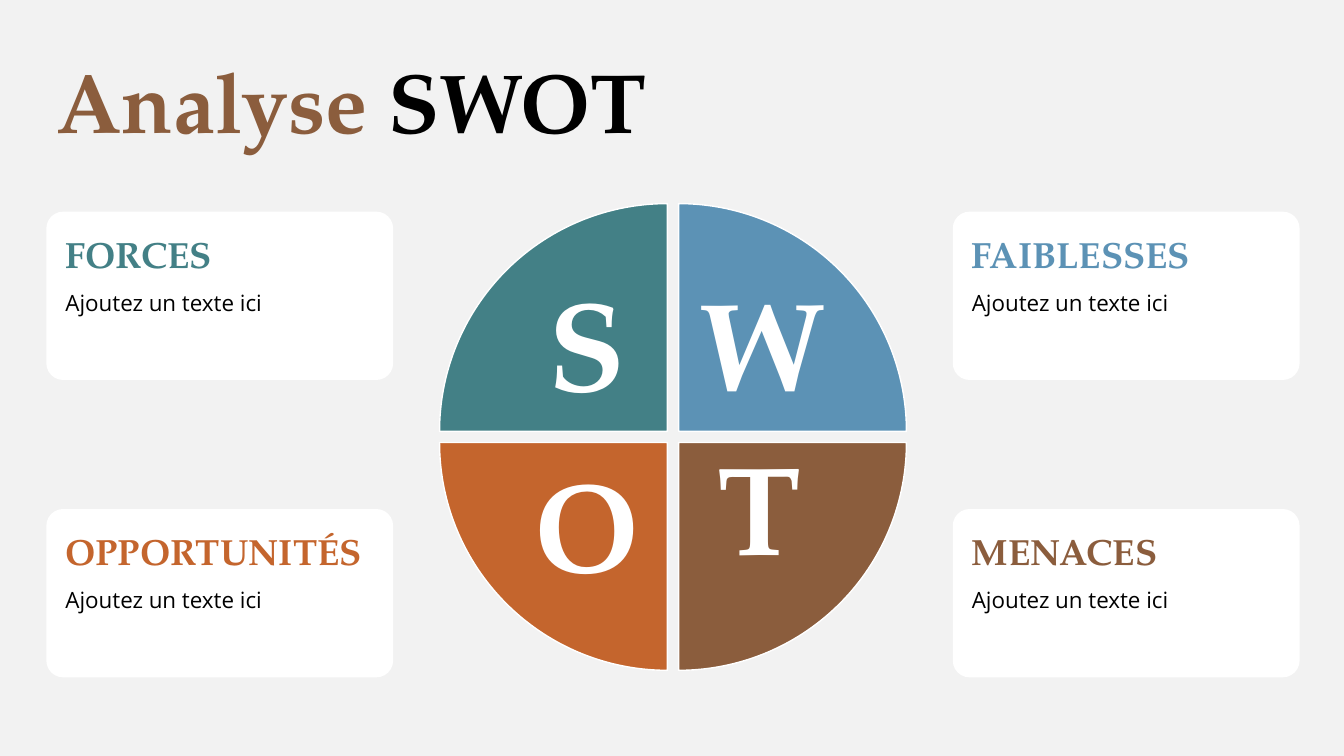
from pptx import Presentation
from pptx import util as u
from pptx.dml.color import RGBColor
from pptx.enum import shapes, text

SERIF, SANS = "TeX Gyre Pagella", "Open Sans"
TEAL, BLUE, BROWN, ORANGE = "438086", "5C92B5", "8B5D3D", "C4652D"
WHITE, BLACK, GREY = "FFFFFF", "000000", "F2F2F2"

QUADRANTS = [
    ("S", "FORCES", TEAL, 0, 0, "middle", {}),
    ("W", "FAIBLESSES", BLUE, 1, 0, "middle", {"vert": "vert270"}),
    ("T", "MENACES", BROWN, 1, 1, "bottom", {"rot": "10800000"}),
    ("O", "OPPORTUNITÉS", ORANGE, 0, 1, "top", {"vert": "vert"}),
]


def paint(fill, colour):
    fill.solid()
    fill.fore_color.rgb = RGBColor.from_string(colour)


def write(p, content, size=16, font=SANS, colour=BLACK, bold=False, align="left", before=0):
    p.alignment = text.PP_ALIGN[align.upper()]
    p.line_spacing = 0.9
    p.space_before = u.Pt(before)
    r = p.add_run()
    r.text = content
    r.font.size = u.Pt(size)
    r.font.name = font
    r.font.bold = bold
    r.font.color.rgb = RGBColor.from_string(colour)


class SwotSlide:
    """Hold the style and the current slide of a SWOT analysis."""

    def __init__(self, prs):
        self.s = prs.slides.add_slide(prs.slide_layouts[0])
        paint(self.s.background.fill, GREY)
        subtitle = self.s.placeholders[1].element
        subtitle.getparent().remove(subtitle)
        self.wheel = self.s.shapes.add_group_shape()

    def frame(self, sp, anchor, x_inset, y_inset):
        tf = sp.text_frame
        tf.word_wrap = True
        tf.vertical_anchor = text.MSO_ANCHOR[anchor.upper()]
        tf.margin_left = tf.margin_right = u.Inches(x_inset)
        tf.margin_top = tf.margin_bottom = u.Inches(y_inset)
        return tf

    def shape(self, parent, kind, x, y, w, h, fill):
        sp = parent.add_shape(kind, *map(u.Inches, (x, y, w, h)))
        sp.shadow.inherit = False
        paint(sp.fill, fill)
        return sp

    def title(self, x, y, w, h, parts):
        sp = self.s.shapes.title
        sp.left, sp.top, sp.width, sp.height = map(u.Inches, (x, y, w, h))
        tf = self.frame(sp, "middle", 0.1, 0.05)
        tf.auto_size = text.MSO_AUTO_SIZE.SHAPE_TO_FIT_TEXT
        for content, colour in parts:
            write(tf.paragraphs[0], content, size=60, font=SERIF, colour=colour, bold=True)

    def card(self, x, y, heading, colour):
        kind = shapes.MSO_SHAPE.ROUNDED_RECTANGLE
        sp = self.shape(self.s.shapes, kind, x, y, 3.44, 1.67, WHITE)
        sp.adjustments[0] = 0.1
        sp.line.fill.background()
        tf = self.frame(sp, "top", 0.14, 0.2)
        write(tf.paragraphs[0], heading, size=26, font=SERIF, colour=colour, bold=True)
        write(tf.add_paragraph(), "Ajoutez un texte ici", before=11.3)

    def wedge(self, x, y, letter, colour, rotation, anchor, turn):
        kind = shapes.MSO_SHAPE.PIE_WEDGE
        sp = self.shape(self.wheel.shapes, kind, x, y, 2.26, 2.26, colour)
        sp.rotation = rotation
        paint(sp.line.fill, WHITE)
        sp.line.width = u.Pt(1)
        tf = self.frame(sp, anchor, 0.21, 0.21)
        for name, value in turn.items():
            sp.element.txBody.bodyPr.set(name, value)
        write(tf.paragraphs[0], letter, size=90, font=SERIF, colour=WHITE, bold=True, align="center")


def main():
    prs = Presentation()
    prs.slide_width, prs.slide_height = u.Inches(13.33), u.Inches(7.5)
    swot = SwotSlide(prs)
    swot.title(0.46, 0.55, 10.01, 1, [("Analyse ", BROWN), ("SWOT", BLACK)])
    for i, (letter, heading, colour, col, row, anchor, turn) in enumerate(QUADRANTS):
        swot.card(0.46 + 8.99 * col, 2.1 + 2.95 * row, heading, colour)
        swot.wedge(4.36 + 2.37 * col, 2.02 + 2.37 * row, letter, colour, 90 * i, anchor, turn)
    prs.save("out.pptx")


if __name__ == "__main__":
    main()
